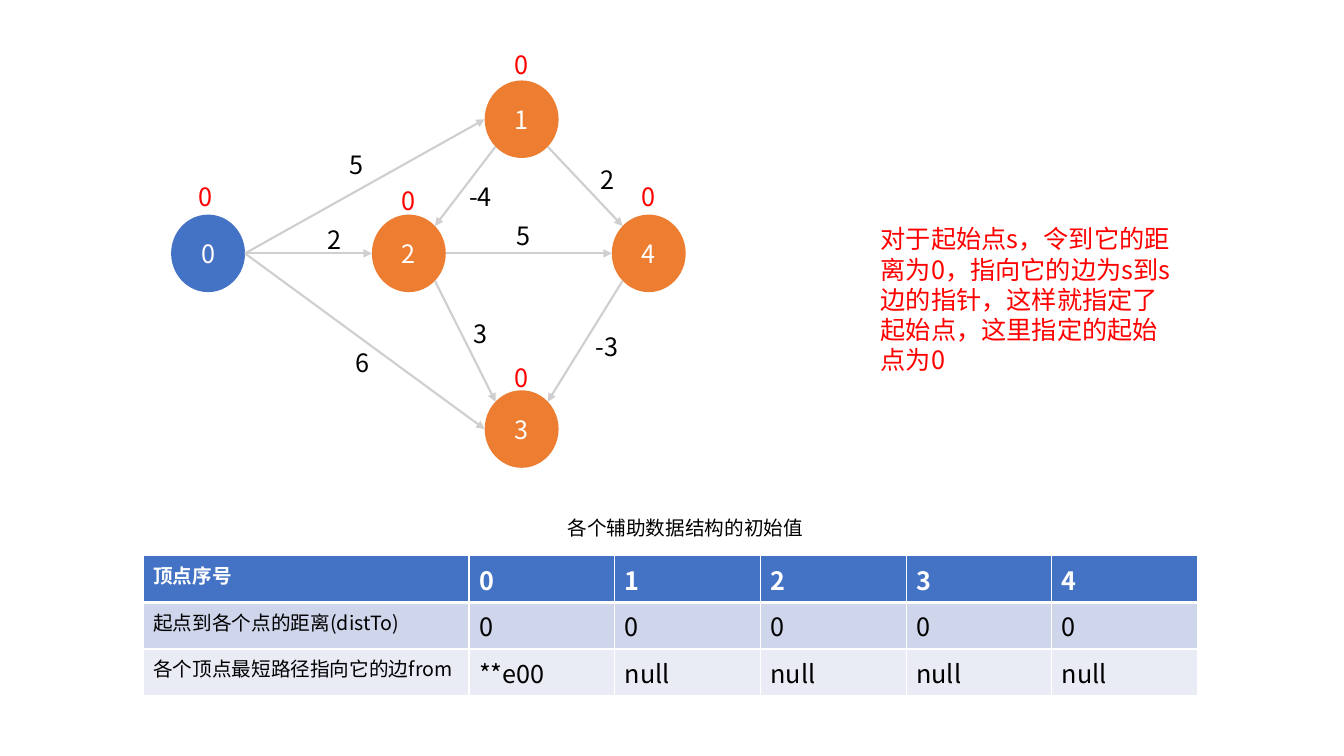
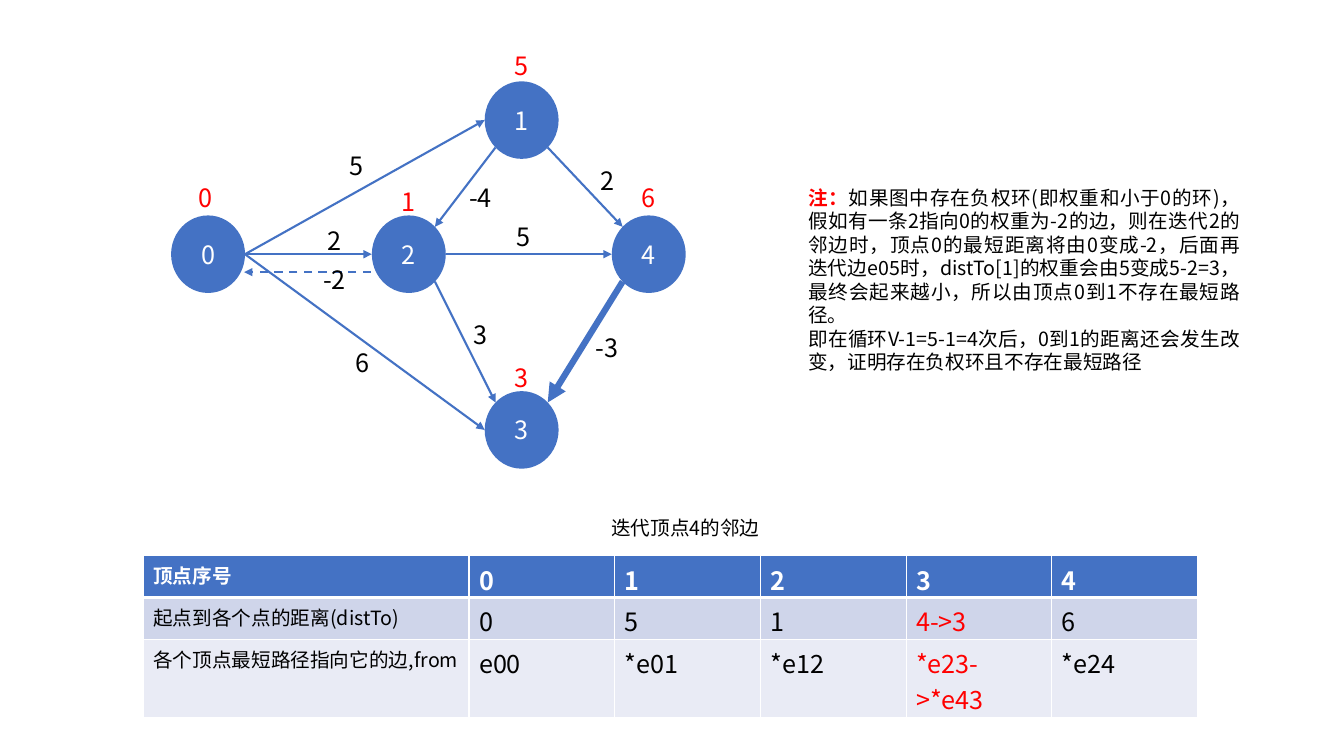
import pptx
import pptx.dml.color
import pptx.enum.dml
import pptx.enum.shapes
import pptx.enum.text
import pptx.oxml
import pptx.oxml.ns
import pptx.util
import lxml.etree

Pt = pptx.util.Pt
ALIGN = pptx.enum.text.PP_ALIGN
FONT = "Noto Sans CJK SC"
BLUE, ORANGE, GREY = "4472C4", "ED7D31", "D0CECE"
RED, BLACK, WHITE = "FF0000", "000000", "FFFFFF"
ROW_FILLS = [BLUE, "CFD5EA", "E9EBF5"]

NODE_WIDTH, NODE_HEIGHT = 52.8, 55.4
NODE_CENTERS = {0: (148.6, 181), 1: (372.6, 85.2), 2: (292, 181), 3: (372.6, 306.5), 4: (463.4, 181)}
DISTANCE_PLACES = {0: (130.3, 130.8), 1: (356, 36.6), 2: (275.5, 134), 3: (356, 260), 4: (446.4, 130.8)}
DIAGONAL = 0.707
EDGES = [
    (0, 1, (1, 0), (-1, 0), "5", (238.3, 108.2)),
    (0, 2, (1, 0), (-1, 0), "2", (222.8, 161.5)),
    (0, 3, (1, 0), (-1, 0), "6", (242.2, 249.3)),
    (2, 4, (1, 0), (-1, 0), "5", (357.8, 159)),
    (1, 2, (-DIAGONAL, DIAGONAL), (DIAGONAL, -DIAGONAL), "-4", (326.8, 131)),
    (1, 4, (DIAGONAL, DIAGONAL), (-DIAGONAL, -DIAGONAL), "2", (417.8, 118.6)),
    (2, 3, (DIAGONAL, DIAGONAL), (-DIAGONAL, -DIAGONAL), "3", (327, 229)),
    (4, 3, (-DIAGONAL, DIAGONAL), (DIAGONAL, -DIAGONAL), "-3", (417, 238.4)),
]

SLIDES = [
    {
        "drop": 0, "node_fills": [BLUE] + [ORANGE] * 4, "line": GREY, "bold_edge": None,
        "distances": ["0", "0", "0", "0", "0"],
        "caption": "各个辅助数据结构的初始值",
        "note": [[("对于起始点s，令到它的距离为0，指向它的边为s到s边的指针，这样就指定了起始点，这里指定的起始点为0",
                   {"size": 18, "color": RED})]],
        "note_box": (622, 156.2, 224.6, 116.6), "note_align": ALIGN.LEFT,
        "from_label": "各个顶点最短路径指向它的边from",
        "dist_to": ["0", "0", "0", "0", "0"],
        "edge_from": ["**e00", "null", "null", "null", "null"],
        "row_heights": [33.3, 33.3, 33.3], "cell_bottom": 3.6, "changed": None, "return_edge": False,
    },
    {
        "drop": 0.6, "node_fills": [BLUE] * 5, "line": BLUE, "bold_edge": (4, 3),
        "distances": ["0", "5", "1", "3", "6"],
        "caption": "迭代顶点4的邻边",
        "note": [
            [("注：", {"size": 14, "color": RED, "bold": True}),
             ("如果图中存在负权环(即权重和小于0的环)，假如有一条2指向0的权重为-2的边，则在迭代2的邻边时，"
              "顶点0的最短距离将由0变成-2，后面再迭代边e05时，distTo[1]的权重会由5变成5-2=3，"
              "最终会起来越小，所以由顶点0到1不存在最短路径。", {"size": 14})],
            [("即在循环V-1=5-1=4次后，0到1的距离还会发生改变，证明存在负权环且不存在最短路径", {"size": 14})],
        ],
        "note_box": (570.2, 128.9, 322.6, 159.8), "note_align": ALIGN.JUSTIFY,
        "from_label": "各个顶点最短路径指向它的边,from",
        "dist_to": ["0", "5", "1", "4->3", "6"],
        "edge_from": ["e00", "*e01", "*e12", "*e23->*e43", "*e24"],
        "row_heights": [29.8, 29.8, 56], "cell_bottom": 0, "changed": 3, "return_edge": True,
    },
]


def rgb(value):
    return pptx.dml.color.RGBColor.from_string(value)


def write(frame, paragraphs, align=ALIGN.LEFT):
    frame.word_wrap = True
    for index, runs in enumerate(paragraphs):
        paragraph = frame.paragraphs[0] if index == 0 else frame.add_paragraph()
        paragraph.alignment = align
        for text, style in runs:
            run = paragraph.add_run()
            run.text = text
            values = {"name": FONT, "size": Pt(style.get("size", 18)), "bold": style.get("bold", False)}
            for name, value in values.items():
                setattr(run.font, name, value)
            run.font.color.rgb = rgb(style.get("color", BLACK))
            east_asian = lxml.etree.SubElement(run.font._element, pptx.oxml.ns.qn("a:ea"))
            east_asian.set("typeface", FONT)


presentation = pptx.Presentation()
presentation.slide_width, presentation.slide_height = Pt(960), Pt(540)

for content in SLIDES:
    slide = presentation.slides.add_slide(presentation.slide_layouts[6])
    drop = content["drop"]

    for node, (x, y) in NODE_CENTERS.items():
        shape = slide.shapes.add_shape(
            pptx.enum.shapes.MSO_SHAPE.OVAL, Pt(x - NODE_WIDTH / 2), Pt(y - NODE_HEIGHT / 2 + drop),
            Pt(NODE_WIDTH), Pt(NODE_HEIGHT))
        shape.shadow.inherit = False
        shape.fill.solid()
        shape.fill.fore_color.rgb = rgb(content["node_fills"][node])
        shape.line.fill.background()
        shape.text_frame.vertical_anchor = pptx.enum.text.MSO_ANCHOR.MIDDLE
        write(shape.text_frame, [[(str(node), {"color": WHITE})]], ALIGN.CENTER)

    arrows = []
    labels = [(content["distances"][node], place, RED) for node, place in DISTANCE_PLACES.items()]
    for start, end, leave, enter, weight, place in EDGES:
        points = []
        for node, side in ((start, leave), (end, enter)):
            x, y = NODE_CENTERS[node]
            points += [x + side[0] * NODE_WIDTH / 2, y + side[1] * NODE_HEIGHT / 2]
        arrows.append((points, 4.5 if (start, end) == content["bold_edge"] else 1.5, False))
        labels.append((weight, place, BLACK))
    if content["return_edge"]:
        arrows.append(([265, 193.8, 174.4, 193.8], 1.5, True))
        labels.append(("-2", (222.5, 189.5), BLACK))

    for (x1, y1, x2, y2), width, dashed in arrows:
        connector = slide.shapes.add_connector(
            pptx.enum.shapes.MSO_CONNECTOR.STRAIGHT, Pt(x1), Pt(y1 + drop), Pt(x2), Pt(y2 + drop))
        connector.line.color.rgb = rgb(content["line"])
        connector.line.width = Pt(width)
        if dashed:
            connector.line.dash_style = pptx.enum.dml.MSO_LINE.DASH
        line = connector.line._get_or_add_ln()
        lxml.etree.SubElement(line, pptx.oxml.ns.qn("a:tailEnd")).set("type", "triangle")
        lxml.etree.SubElement(connector._element.spPr, pptx.oxml.ns.qn("a:effectLst"))

    for text, (x, y), color in labels:
        label = slide.shapes.add_textbox(Pt(x), Pt(y + drop), Pt(33), Pt(18.7))
        label.text_frame.vertical_anchor = pptx.enum.text.MSO_ANCHOR.MIDDLE
        write(label.text_frame, [[(text, {"color": color})]], ALIGN.CENTER)

    note = slide.shapes.add_textbox(*map(Pt, content["note_box"]))
    write(note.text_frame, content["note"], content["note_align"])
    caption = slide.shapes.add_textbox(Pt(388.8), Pt(365), Pt(201.6), Pt(24.5))
    write(caption.text_frame, [[(content["caption"], {"size": 14})]], ALIGN.CENTER)

    rows = [
        ["顶点序号", "0", "1", "2", "3", "4"],
        ["起点到各个点的距离(distTo)"] + content["dist_to"],
        [content["from_label"]] + content["edge_from"],
    ]
    frame = slide.shapes.add_table(3, 6, Pt(102.3), Pt(397), Pt(753.2), Pt(sum(content["row_heights"])))
    table = frame.table
    table.horz_banding = False
    for index, column in enumerate(table.columns):
        column.width = Pt(104.1 if index else 232.7)
    for row_index, texts in enumerate(rows):
        table.rows[row_index].height = Pt(content["row_heights"][row_index])
        for column_index, text in enumerate(texts):
            cell = table.cell(row_index, column_index)
            header = row_index == 0
            changed = not header and column_index - 1 == content["changed"]
            color = WHITE if header else RED if changed else BLACK
            style = {"size": 18 if column_index else 14, "bold": header, "color": color}
            write(cell.text_frame, [[(text, style)]])
            cell.margin_bottom = Pt(content["cell_bottom"])
            properties = cell._tc.get_or_add_tcPr()
            for side in ("L", "R", "T", "B"):
                thick = (row_index, side) in ((0, "B"), (1, "T"))
                properties.append(pptx.oxml.parse_xml(
                    f'<a:ln{side} {pptx.oxml.ns.nsdecls("a")} w="{Pt(3 if thick else 1)}">'
                    f'<a:solidFill><a:srgbClr val="{WHITE}"/></a:solidFill></a:ln{side}>'))
            cell.fill.solid()
            cell.fill.fore_color.rgb = rgb(ROW_FILLS[row_index])

presentation.save("out.pptx")
